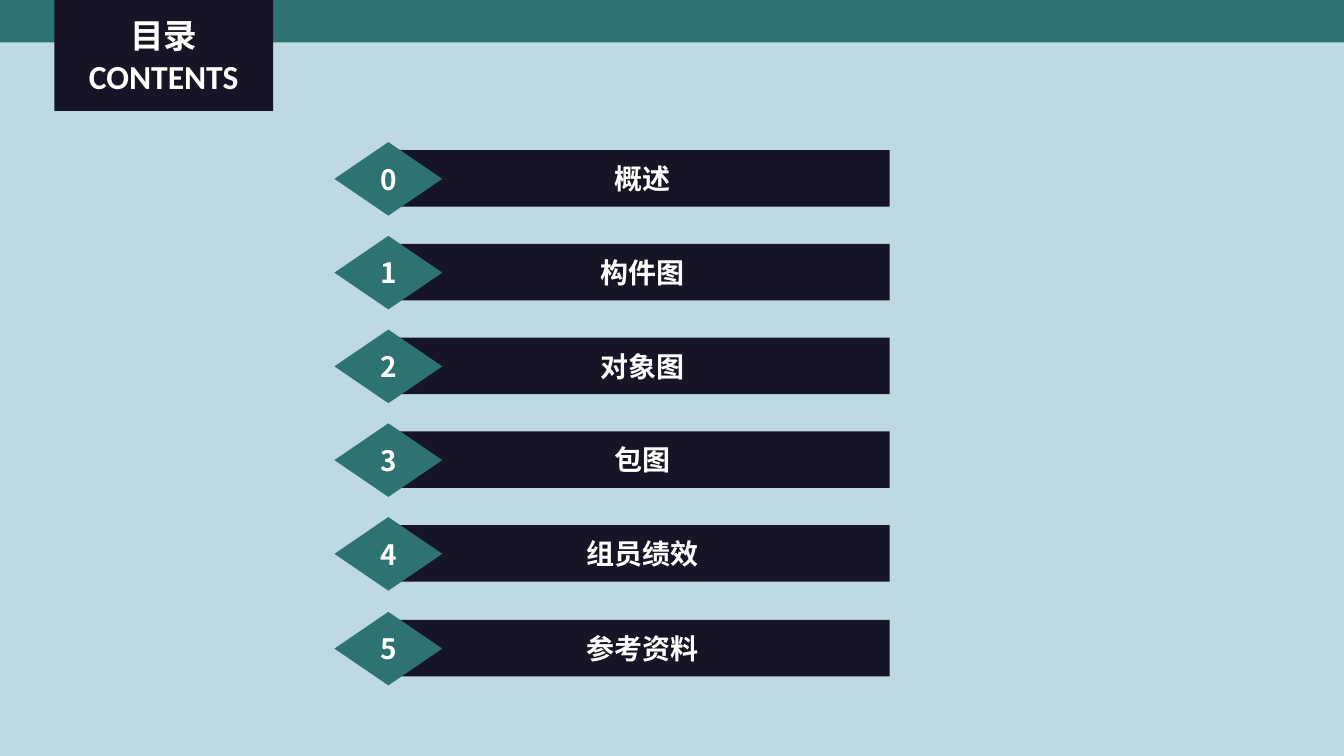
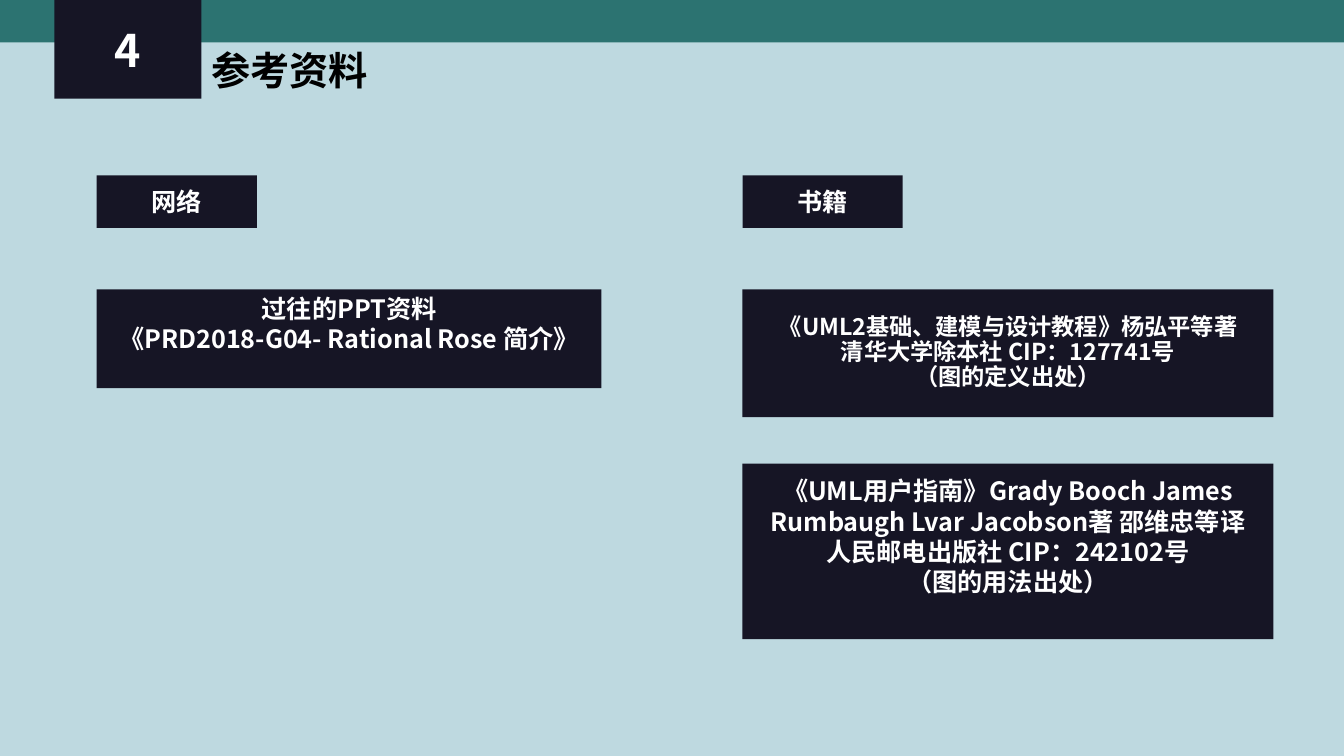
from lxml import etree
from pptx import Presentation
from pptx import util as u
from pptx.dml.color import RGBColor
from pptx.enum import shapes, text
from pptx.oxml.ns import qn

PX = 9144
SLIDE_W, SLIDE_H = 1334, 750
SKY, TEAL, NAVY, WHITE, BLACK = "BED9E0", "2C7371", "161525", "FFFFFF", "000000"
CJK = "Noto Sans CJK SC"
RECT, DIAMOND = shapes.MSO_SHAPE.RECTANGLE, shapes.MSO_SHAPE.DIAMOND
CENTER, LEFT = text.PP_ALIGN.CENTER, text.PP_ALIGN.LEFT
MIDDLE, TOP = text.MSO_ANCHOR.MIDDLE, text.MSO_ANCHOR.TOP


def px(n):
    """Turn px into EMU."""
    return u.Emu(n * PX)


def paint(fill, color):
    """Give a fill one solid colour from a hex string."""
    fill.solid()
    fill.fore_color.rgb = RGBColor.from_string(color)


def write(sp, lines, size=18, color=WHITE, fonts=(CJK,), align=CENTER,
          anchor=MIDDLE, spacing=1.0, bottom=5):
    """Write one paragraph a line; the last font serves all further lines."""
    tf = sp.text_frame
    tf.auto_size = text.MSO_AUTO_SIZE.NONE
    tf.word_wrap = True
    tf.vertical_anchor = anchor
    tf.margin_left = tf.margin_right = px(10)
    tf.margin_top, tf.margin_bottom = px(5), px(bottom)
    for i, line in enumerate(lines):
        p = tf.paragraphs[0] if i == 0 else tf.add_paragraph()
        p.alignment, p.line_spacing = align, spacing
        r = p.add_run()
        r.text = line
        r.font.size, r.font.bold = u.Pt(size), True
        r.font.color.rgb = RGBColor.from_string(color)
        r.font.name = fonts[min(i, len(fonts) - 1)]
        etree.SubElement(r.font._element, qn("a:ea")).set("typeface", CJK)


def block(parent, box, color=NAVY, kind=RECT, lines=(), **fmt):
    """Add a flat filled shape with centred text."""
    sp = parent.add_shape(kind, *map(px, box))
    sp.shadow.inherit = False
    paint(sp.fill, color)
    sp.line.fill.background()
    if lines:
        write(sp, lines, **fmt)
    return sp


def base_slide(prs, title_box, lines, **fmt):
    """Add a slide with the top band behind its placed title."""
    s = prs.slides.add_slide(prs.slide_layouts[5])
    band = block(s.shapes, (0, 0, SLIDE_W, 42), TEAL)
    title = s.shapes.title
    title.element.addprevious(band.element)
    title.left, title.top, title.width, title.height = map(px, title_box)
    write(title, lines, **fmt)
    return s


def agenda_row(s, x, y, number, label):
    """Add a numbered diamond over the start of a bar, as one group."""
    group = s.shapes.add_group_shape().shapes
    block(group, (x + 60, y + 8, 491, 56), lines=[label], size=20)
    block(group, (x, y, 107, 73), TEAL, DIAMOND, [str(number)], size=20)


def contents_slide(prs):
    """Build the table of contents."""
    s = base_slide(prs, (54, 0, 217, 110), ["目录", "CONTENTS"],
                   size=24, fonts=(CJK, "Calibri"))
    paint(s.shapes.title.fill, NAVY)
    labels = ["概述", "构件图", "对象图", "包图", "组员绩效", "参考资料"]
    for i, label in enumerate(labels):
        agenda_row(s, 332, 141 + 466 * i // 5, i, label)


def source_column(s, x, width, heading, entries):
    """Add a heading tag and the source cards below it."""
    block(s.shapes, (x, 174, 159, 52), lines=[heading])
    for y, height, lines, fmt in entries:
        block(s.shapes, (x, y, width, height), lines=lines, **fmt)


def references_slide(prs):
    """Build the list of references."""
    s = base_slide(prs, (200, 41, 640, 57), ["参考资料"], size=28, color=BLACK,
                   fonts=("Arial",), align=LEFT, anchor=TOP)
    block(s.shapes, (54, 0, 146, 98), lines=["4"], size=32)
    source_column(s, 96, 501, "网络", [
        (287, 98, ["过往的PPT资料", "《PRD2018-G04- Rational Rose 简介》"],
         {"bottom": 35}),
    ])
    source_column(s, 737, 527, "书籍", [
        (287, 127, ["《UML2基础、建模与设计教程》杨弘平等著",
                    "清华大学除本社 CIP：127741号", "（图的定义出处）"],
         {"size": 16.6, "spacing": 0.9}),
        (460, 174, ["《UML用户指南》Grady Booch James Rumbaugh Lvar Jacobson著 邵维忠等译",
                    "人民邮电出版社 CIP：242102号", "（图的用法出处）"],
         {"bottom": 35}),
    ])


def main():
    """Build and save the presentation."""
    prs = Presentation()
    prs.slide_width, prs.slide_height = px(SLIDE_W), px(SLIDE_H)
    paint(prs.slide_master.background.fill, SKY)
    contents_slide(prs)
    references_slide(prs)
    prs.save("out.pptx")


if __name__ == "__main__":
    main()
